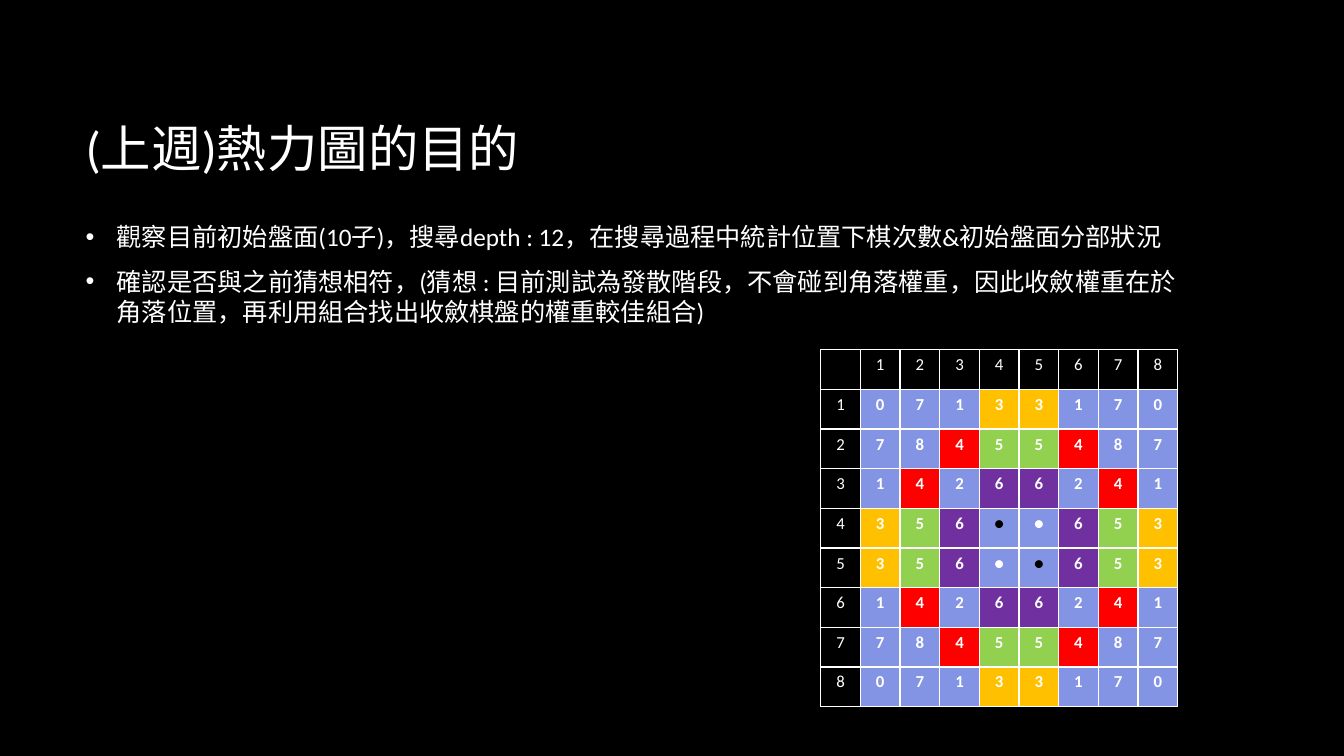
from lxml import etree
from pptx import Presentation
from pptx.dml.color import RGBColor
from pptx.enum.text import MSO_ANCHOR, PP_ALIGN
from pptx.oxml.ns import qn
from pptx.util import Inches, Pt

CENTER = PP_ALIGN.CENTER
MIDDLE = MSO_ANCHOR.MIDDLE
FONT = "Calibri"
WHITE, BLACK, BLUE = "FFFFFF", "000000", "8394E4"
DISC = "●"
WEIGHT_FILLS = {"3": "FFC000", "4": "FF0000", "5": "92D050", "6": "7030A0"}
BOARD_QUARTER = ["0713", "7845", "1426", "356" + DISC]
TITLE = "(上週)熱力圖的目的"
POINTS = [
    "觀察目前初始盤面(10子)，搜尋depth : 12，在搜尋過程中統計位置下棋次數&初始盤面分部狀況",
    "確認是否與之前猜想相符，(猜想 : 目前測試為發散階段，不會碰到角落權重，"
    "因此收斂權重在於角落位置，再利用組合找出收斂棋盤的權重較佳組合)",
]


def color(value):
    return RGBColor.from_string(value)


def add_span(para, text, fill=WHITE, **formats):
    span = para.add_run()
    span.text = text
    for name, value in {"name": FONT, **formats}.items():
        setattr(span.font, name, value)
    span.font.color.rgb = color(fill)


def add_text_frame(page, box):
    frame = page.shapes.add_textbox(*map(Inches, box)).text_frame
    frame.word_wrap = True
    frame.vertical_anchor = MIDDLE
    return frame


def add_title(page, box):
    frame = add_text_frame(page, box)
    add_span(frame.paragraphs[0], TITLE, size=Pt(36))


def add_points(page, box):
    frame = add_text_frame(page, box)
    for index, point in enumerate(POINTS):
        para = frame.add_paragraph() if index else frame.paragraphs[0]
        para.space_after = Pt(10)
        properties = para._p.get_or_add_pPr()
        properties.set("marL", str(Inches(0.31)))
        properties.set("indent", str(-Inches(0.31)))
        bullet_color = etree.SubElement(properties, qn("a:buClr"))
        etree.SubElement(bullet_color, qn("a:srgbClr"), val=WHITE)
        etree.SubElement(properties, qn("a:buFont"), typeface="Arial")
        etree.SubElement(properties, qn("a:buChar"), char="•")
        add_span(para, point, size=Pt(18))


def set_borders(cell):
    properties = cell._tc.get_or_add_tcPr()
    for index, side in enumerate(("a:lnL", "a:lnR", "a:lnT", "a:lnB")):
        line = etree.Element(qn(side), w=str(Pt(1)))
        fill = etree.SubElement(line, qn("a:solidFill"))
        etree.SubElement(fill, qn("a:srgbClr"), val=WHITE)
        properties.insert(index, line)


def fill_cell(cell, text, fill=None, ink=WHITE):
    para = cell.text_frame.paragraphs[0]
    para.alignment = CENTER
    if text:
        add_span(para, text, ink, size=Pt(12), bold=fill is not None)
    else:
        etree.SubElement(para._p, qn("a:endParaRPr"), sz="1200")
    if fill:
        cell.fill.solid()
        cell.fill.fore_color.rgb = color(fill)
    else:
        cell.fill.background()
    set_borders(cell)


def add_heat_map(page, box):
    half = [row + row[::-1] for row in BOARD_QUARTER]
    board = half + half[::-1]
    count = len(board) + 1
    table = page.shapes.add_table(count, count, *map(Inches, box)).table
    table.first_row = table.horz_banding = False
    fill_cell(table.cell(0, 0), "")
    for row, weights in enumerate(board, 1):
        fill_cell(table.cell(0, row), str(row))
        fill_cell(table.cell(row, 0), str(row))
        for column, weight in enumerate(weights, 1):
            ink = BLACK if weight == DISC and row == column else WHITE
            fill = WEIGHT_FILLS.get(weight, BLUE)
            fill_cell(table.cell(row, column), weight, fill, ink)


def main():
    deck = Presentation()
    deck.slide_width, deck.slide_height = Inches(13.33), Inches(7.5)
    page = deck.slides.add_slide(deck.slide_layouts[6])
    page.background.fill.solid()
    page.background.fill.fore_color.rgb = color(BLACK)
    add_title(page, (0.75, 0.67, 11.08, 1.59))
    add_points(page, (0.75, 1.99, 11.08, 1.46))
    add_heat_map(page, (8.14, 3.47, 3.54, 3.54))
    deck.save("out.pptx")


if __name__ == "__main__":
    main()
